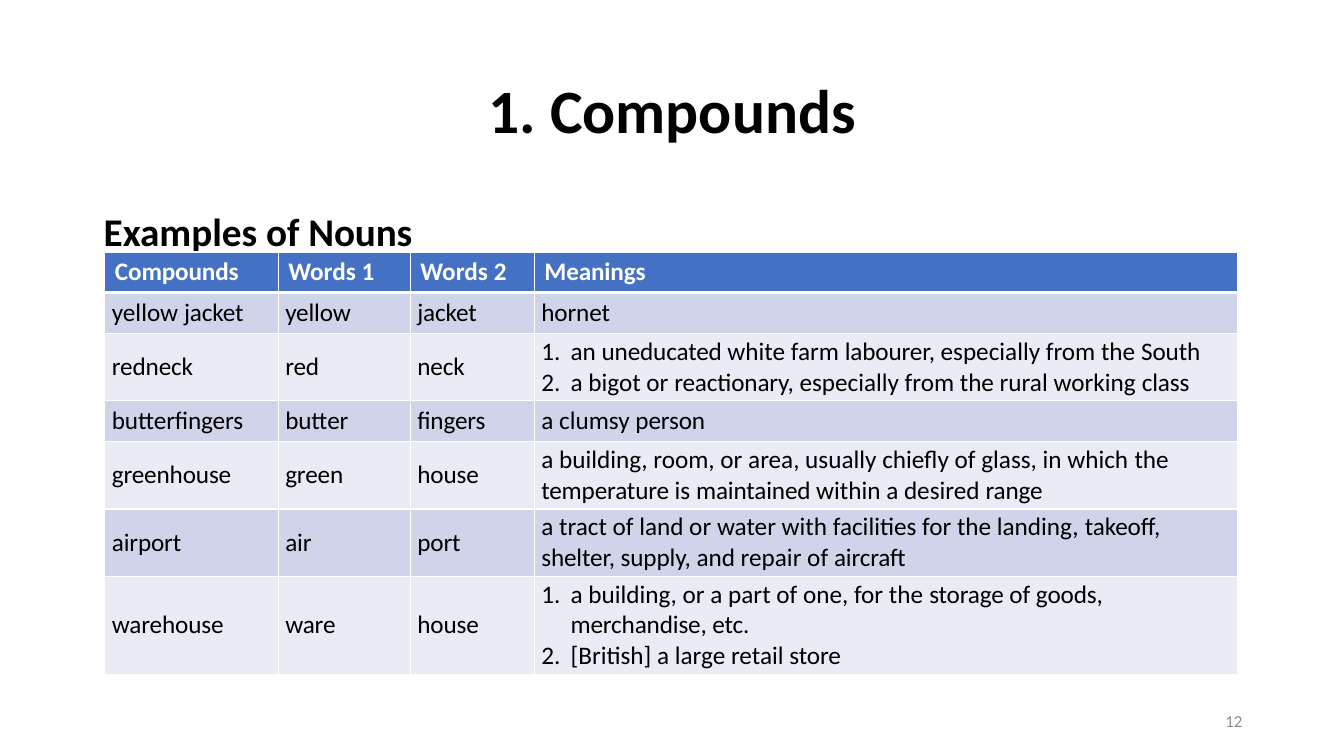
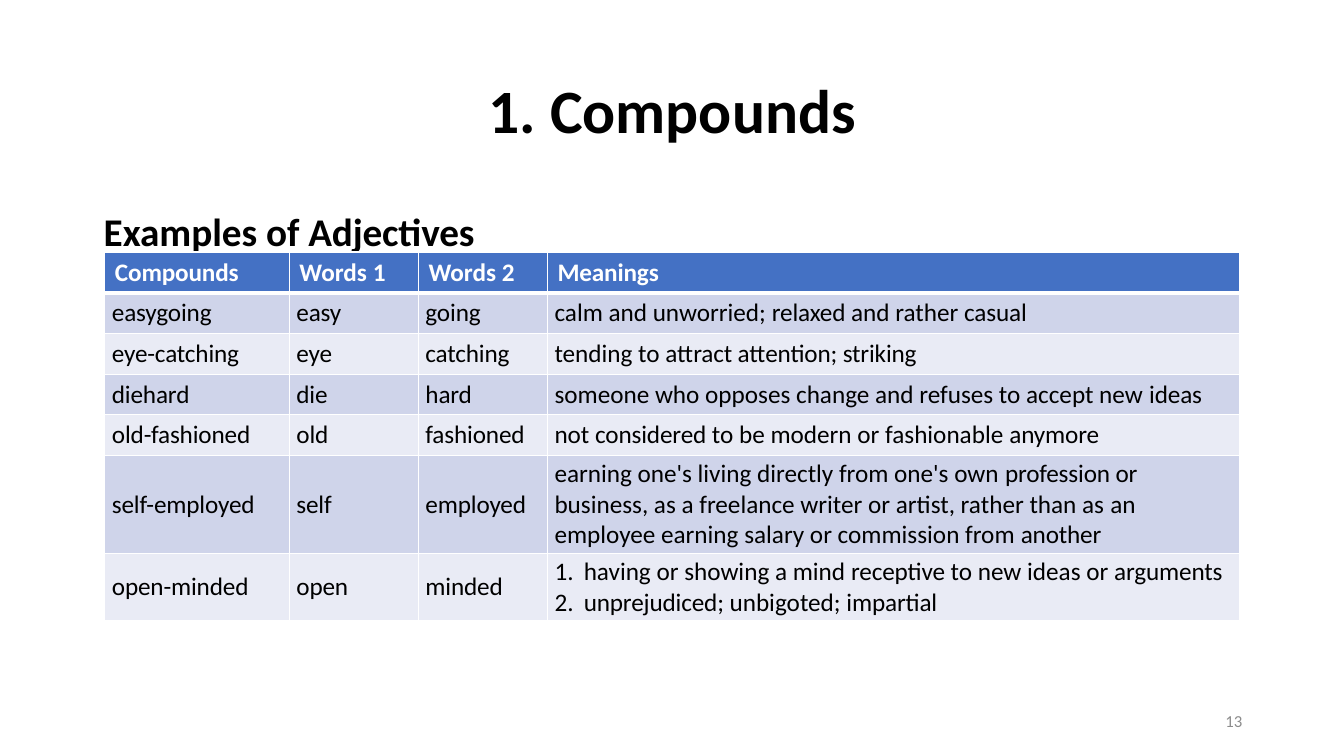
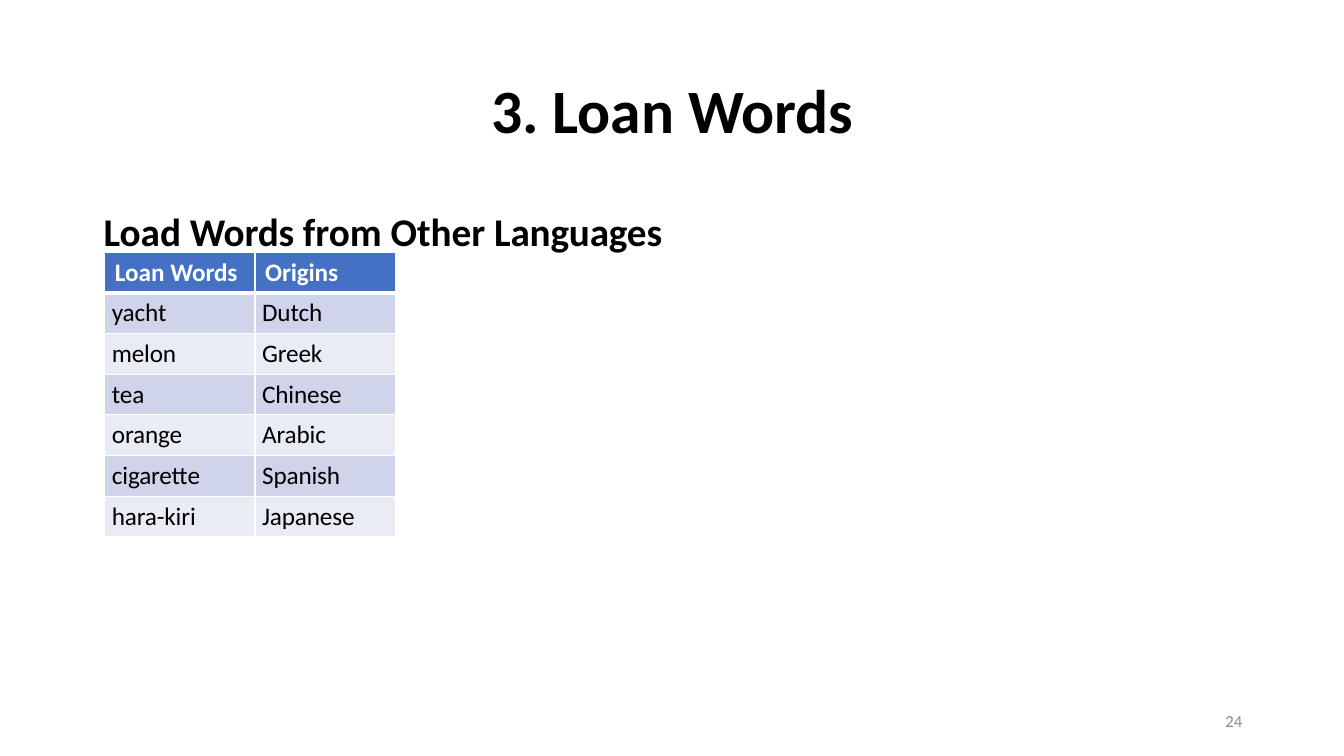
import dataclasses
import itertools
from typing import Any

import lxml.etree
import pptx
import pptx.dml.color
import pptx.enum.text
import pptx.oxml.ns
import pptx.util

Inches = pptx.util.Inches
Pt = pptx.util.Pt
ALIGN = pptx.enum.text.PP_ALIGN
ANCHOR = pptx.enum.text.MSO_ANCHOR

# Shared look
FONT = "Calibri"
BLACK, WHITE, GREY = "000000", "FFFFFF", "8C8C8C"
HEADER_FILL = "4471C4"
BAND_FILLS = ("CFD4EA", "E9EBF5")
TABLE_LEFT, TABLE_TOP = 1.04, 2.5
TALL_ROWS = {2: 0.67, 3: 0.97}
NUMBER_INDENT = 0.29


@dataclasses.dataclass
class TextStyle:
    size: float
    color: str = BLACK
    bold: bool = False
    align: Any = ALIGN.LEFT
    line_spacing: float = 1.0


@dataclasses.dataclass
class Box:
    left: float
    top: float
    width: float
    height: float
    anchor: Any
    style: TextStyle


@dataclasses.dataclass
class Row:
    """One table row; a tuple as a cell makes a numbered list."""
    cells: list
    lines: int = 1
    right: float = 0.1


@dataclasses.dataclass
class WordSlide:
    title: str
    heading: str
    number: str
    columns: list
    table_height: float
    header: list
    rows: list


TITLE = Box(0.92, 0.4, 11.5, 1.45, ANCHOR.MIDDLE,
            TextStyle(44, bold=True, align=ALIGN.CENTER, line_spacing=0.9))
HEADING = Box(0.93, 2.01, 11.49, 0.57, ANCHOR.TOP, TextStyle(28, bold=True))
PAGE_NUMBER = Box(9.42, 6.95, 3, 0.4, ANCHOR.MIDDLE,
                  TextStyle(12, GREY, align=ALIGN.RIGHT))
HEADER_TEXT = TextStyle(18, WHITE, bold=True)
CELL_TEXT = TextStyle(18)

# Slide contents; "~" switches tight letter spacing on and off
WORD_HEADER = ["~Compounds", "Words ~1", "Words ~2", "~Meanings"]

SLIDES = [
    WordSlide(
        "1. Compounds", "Examples of ~Nouns", "12",
        [1.72, 1.31, 1.23, 6.98], 4.19, WORD_HEADER,
        [
            Row(["yellow ~jacket", "~yellow", "~jacket", "~hornet"]),
            Row(["~redneck", "~red", "~neck", (
                "an ~uneducated ~white farm ~labourer, ~especially from the ~South",
                "a bigot or ~reactionary, ~especially from the rural working ~class",
            )], 2),
            Row(["~butterfingers", "~butter", "~fingers", "a clumsy ~person"]),
            Row(["~greenhouse", "~green", "~house",
                 "a building, room, or area, usually chiefly of glass, in which "
                 "~the temperature ~is ~maintained ~within a desired ~range"], 2, 0.2),
            Row(["~airport", "~air", "~port",
                 "a tract of land or water with facilities for the landing, "
                 "~takeoff, shelter, supply, ~and repair of ~aircraft"], 2, 0.2),
            Row(["~warehouse", "~ware", "~house", (
                "a building, or a part of one, for the ~storage ~of~ goods, "
                "merchandise, etc.",
                "[British] a large retail ~store",
            )], 3, 0.2),
        ]),
    WordSlide(
        "1. Compounds", "Examples of ~Adjectives", "13",
        [1.83, 1.28, 1.28, 6.86], 3.66, WORD_HEADER,
        [
            Row(["~easygoing", "~easy", "~going",
                 "calm and unworried; ~relaxed ~and rather ~casual"]),
            Row(["~eye-catching", "~eye", "~catching",
                 "tending to ~attract attention; striking"]),
            Row(["~diehard", "~die", "~hard",
                 "someone who opposes change and refuses to accept new ~ideas"]),
            Row(["~old-fashioned", "~old", "~fashioned",
                 "not ~considered ~to be modern or fashionable ~anymore"]),
            Row(["~self-employed", "~self", "~employed",
                 "earning one's living directly from one's own ~profession or "
                 "~business, as a freelance writer or artist, rather than as "
                 "~an ~employee earning salary or commission from ~another"], 3, 0.9),
            Row(["~open-minded", "~open", "~minded", (
                "having or showing a mind ~receptive ~to new ideas or ~arguments",
                "~unprejudiced; ~unbigoted; ~impartial",
            )], 2),
        ]),
    WordSlide(
        "3. Loan Words", "Load ~Words ~from Other ~Languages", "24",
        [1.49, 1.39], 2.83, ["Loan ~Words", "~Origins"],
        [
            Row(["~yacht", "~Dutch"]),
            Row(["~melon", "~Greek"]),
            Row(["~tea", "~Chinese"]),
            Row(["~orange", "~Arabic"]),
            Row(["~cigarette", "~Spanish"]),
            Row(["~hara-kiri", "~Japanese"]),
        ]),
]


def rgb(color: str) -> pptx.dml.color.RGBColor:
    return pptx.dml.color.RGBColor.from_string(color)


def add_child(parent: Any, tag: str, **attributes: Any) -> Any:
    child = lxml.etree.SubElement(parent, pptx.oxml.ns.qn(tag))
    for name, value in attributes.items():
        child.set(name, str(value))
    return child


# Text
def write_paragraph(paragraph: Any, text: str, style: TextStyle) -> None:
    paragraph.alignment = style.align
    paragraph.line_spacing = style.line_spacing
    for part, tight in zip(text.split("~"), itertools.cycle((False, True))):
        if not part:
            continue
        run = paragraph.add_run()
        run.text = part
        run.font.name = FONT
        run.font.size = Pt(style.size)
        run.font.bold = style.bold
        run.font.color.rgb = rgb(style.color)
        if tight:
            run.font._element.set("spc", "-10")


def number_paragraph(paragraph: Any) -> None:
    properties = paragraph._p.get_or_add_pPr()
    properties.set("marL", str(Inches(NUMBER_INDENT)))
    properties.set("indent", str(-Inches(NUMBER_INDENT)))
    add_child(properties, "a:buFont", typeface=FONT)
    add_child(properties, "a:buAutoNum", type="arabicPeriod")


def add_text(slide: Any, box: Box, text: str) -> None:
    shape = slide.shapes.add_textbox(
        Inches(box.left), Inches(box.top), Inches(box.width), Inches(box.height))
    frame = shape.text_frame
    frame.word_wrap = True
    frame.vertical_anchor = box.anchor
    write_paragraph(frame.paragraphs[0], text, box.style)


# Table
def set_borders(cell: Any, top: float, bottom: float) -> None:
    properties = cell._tc.get_or_add_tcPr()
    widths = {"a:lnL": 1, "a:lnR": 1, "a:lnT": top, "a:lnB": bottom}
    for tag, width in widths.items():
        line = add_child(properties, tag, w=Pt(width))
        add_child(add_child(line, "a:solidFill"), "a:srgbClr", val=WHITE)


def fill_cell(cell: Any, content: Any, row_index: int, right: float) -> None:
    is_header = row_index == 0
    set_borders(cell, 3 if row_index == 1 else 1, 3 if is_header else 1)
    cell.fill.solid()
    cell.fill.fore_color.rgb = rgb(
        HEADER_FILL if is_header else BAND_FILLS[(row_index - 1) % 2])
    cell.margin_left = Inches(0.1 if is_header else 0.07)
    cell.margin_right = Inches(right)
    cell.margin_top = cell.margin_bottom = 0
    cell.vertical_anchor = ANCHOR.MIDDLE

    numbered = isinstance(content, tuple)
    frame = cell.text_frame
    for index, text in enumerate(content if numbered else (content,)):
        paragraph = frame.add_paragraph() if index else frame.paragraphs[0]
        write_paragraph(paragraph, text, HEADER_TEXT if is_header else CELL_TEXT)
        if numbered:
            number_paragraph(paragraph)


def add_word_table(slide: Any, content: WordSlide) -> None:
    rows = [Row(content.header), *content.rows]
    tall = [TALL_ROWS[row.lines] for row in rows if row.lines > 1]
    single_height = (content.table_height - sum(tall)) / (len(rows) - len(tall))
    table = slide.shapes.add_table(
        len(rows), len(content.columns), Inches(TABLE_LEFT), Inches(TABLE_TOP),
        Inches(sum(content.columns)), Inches(content.table_height)).table
    for column, width in zip(table.columns, content.columns):
        column.width = Inches(width)
    for row_index, row in enumerate(rows):
        table.rows[row_index].height = Inches(TALL_ROWS.get(row.lines, single_height))
        for column_index, cell_content in enumerate(row.cells):
            right = row.right if column_index == 3 else 0
            fill_cell(table.cell(row_index, column_index), cell_content,
                      row_index, right)


def main() -> None:
    presentation = pptx.Presentation()
    presentation.slide_width = Inches(13.33)
    presentation.slide_height = Inches(7.5)
    for content in SLIDES:
        slide = presentation.slides.add_slide(presentation.slide_layouts[6])
        add_text(slide, TITLE, content.title)
        add_text(slide, PAGE_NUMBER, content.number)
        add_text(slide, HEADING, content.heading)
        add_word_table(slide, content)
    presentation.save("out.pptx")


if __name__ == "__main__":
    main()
